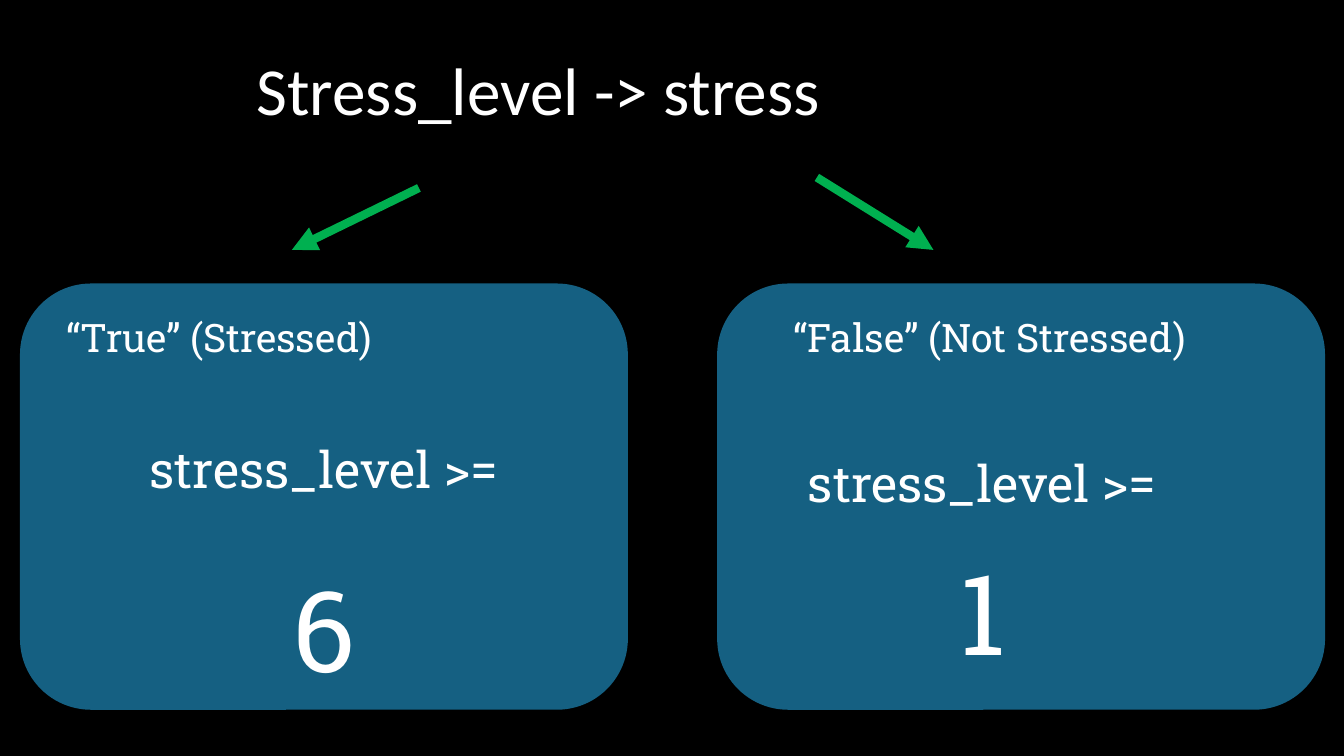
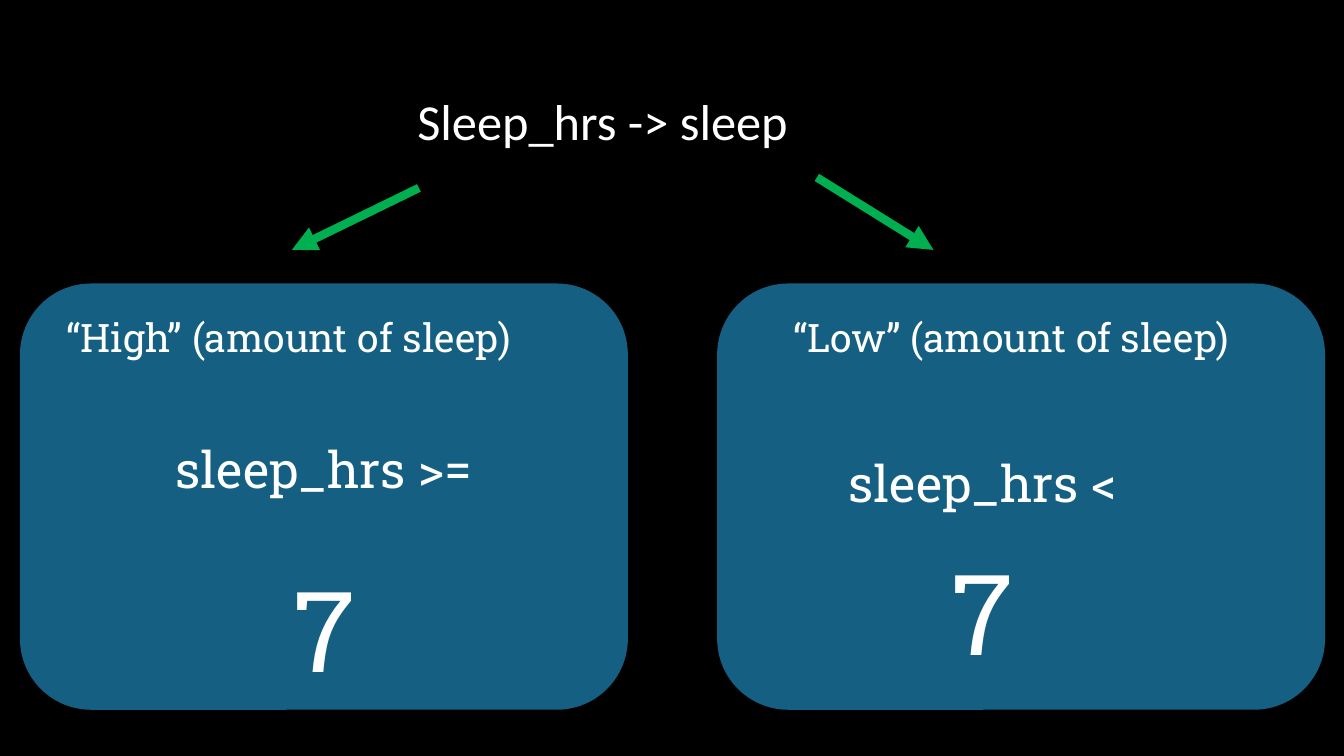
from dataclasses import dataclass

from lxml.etree import SubElement
from pptx import Presentation
from pptx.dml.color import RGBColor
from pptx.enum.shapes import MSO_CONNECTOR as Connector, MSO_SHAPE as Preset
from pptx.enum.text import PP_ALIGN as Align
from pptx.oxml.ns import qn
from pptx.slide import Slide
from pptx.util import Emu, Pt

# Shared style
PX = 9525  # EMU per px, 96 px to the inch
SLIDE_WIDTH, SLIDE_HEIGHT = 1280, 720
BLACK, WHITE, BLUE, GREEN = "000000", "FFFFFF", "156082", "00B050"
TITLE_FONT, BODY_FONT = "Calibri", "Roboto Slab"
PANEL_TOP, PANEL_WIDTH, PANEL_HEIGHT = 270, 579, 406
LABEL_TOP, LABEL_HEIGHT = 294, 55


@dataclass(frozen=True)
class Branch:
    """Layout of one side of the split."""
    panel_left: int
    label_left: int
    rule_top: int
    rule_width: int
    value_gap: int  # points above the big number
    arrow_start: tuple[int, int]
    arrow_end: tuple[int, int]


@dataclass(frozen=True)
class Category:
    label: str
    rule: str
    value: str


@dataclass(frozen=True)
class Split:
    """Content of one slide."""
    title: str
    title_left: int
    title_top: int
    title_size: int
    categories: tuple[Category, Category]


BRANCHES = (
    Branch(19, 54, 413, 579, 44, (399, 179), (278, 238)),
    Branch(683, 746, 426, 505, 22, (778, 169), (889, 238)),
)

SPLITS = (
    Split("Stress_level -> stress", 235, 41, 48, (
        Category("“True” (Stressed)", "stress_level >=", "6"),
        Category("“False” (Not Stressed)", "stress_level >=", "1"),
    )),
    Split("Sleep_hrs -> sleep", 388, 81, 36, (
        Category("“High” (amount of sleep)", "sleep_hrs >=", "7"),
        Category("“Low” (amount of sleep)", "sleep_hrs <", "7"),
    )),
)


def px(length: int) -> Emu:
    return Emu(length * PX)


def color(hex_value: str) -> RGBColor:
    return RGBColor.from_string(hex_value)


def add_text(slide: Slide, lines: list[tuple[str, int]], left: int, top: int,
             width: int, height: int, *, font: str = BODY_FONT,
             align: Align = Align.LEFT, gap: int = 0) -> None:
    """Write (text, size) lines, with gap points between them."""
    box = slide.shapes.add_textbox(px(left), px(top), px(width), px(height))
    frame = box.text_frame
    frame.word_wrap = True
    for index, (text, size) in enumerate(lines):
        paragraph = frame.add_paragraph() if index else frame.paragraphs[0]
        paragraph.alignment = align
        if index:
            paragraph.space_before = Pt(gap)
        run = paragraph.add_run()
        run.text = text
        run.font.name = font
        run.font.size = Pt(size)
        run.font.color.rgb = color(WHITE)


def add_panel(slide: Slide, left: int) -> None:
    panel = slide.shapes.add_shape(Preset.ROUNDED_RECTANGLE, px(left), px(PANEL_TOP),
                                   px(PANEL_WIDTH), px(PANEL_HEIGHT))
    panel.shadow.inherit = False
    panel.fill.solid()
    panel.fill.fore_color.rgb = color(BLUE)
    panel.line.fill.background()


def add_arrow(slide: Slide, start: tuple[int, int], end: tuple[int, int]) -> None:
    arrow = slide.shapes.add_connector(Connector.STRAIGHT, *map(px, start + end))
    arrow.line.color.rgb = color(GREEN)
    arrow.line.width = Pt(6)
    SubElement(arrow.line._get_or_add_ln(), qn("a:tailEnd"), type="triangle")
    SubElement(arrow._element.spPr, qn("a:effectLst"))


def add_branch(slide: Slide, branch: Branch, category: Category) -> None:
    add_panel(slide, branch.panel_left)
    label_width = branch.panel_left + PANEL_WIDTH - branch.label_left
    add_text(slide, [(category.label, 28)], branch.label_left, LABEL_TOP,
             label_width, LABEL_HEIGHT)
    add_text(slide, [(category.rule, 36), (category.value, 80)],
             branch.panel_left, branch.rule_top, branch.rule_width,
             PANEL_TOP + PANEL_HEIGHT - branch.rule_top,
             align=Align.CENTER, gap=branch.value_gap)
    add_arrow(slide, branch.arrow_start, branch.arrow_end)


def add_split_slide(presentation: Presentation, split: Split) -> None:
    slide = presentation.slides.add_slide(presentation.slide_layouts[6])
    background = slide.background.fill
    background.solid()
    background.fore_color.rgb = color(BLACK)
    add_text(slide, [(split.title, split.title_size)], split.title_left,
             split.title_top, SLIDE_WIDTH - split.title_left, 88, font=TITLE_FONT)
    for branch, category in zip(BRANCHES, split.categories):
        add_branch(slide, branch, category)


def main() -> None:
    presentation = Presentation()
    presentation.slide_width = px(SLIDE_WIDTH)
    presentation.slide_height = px(SLIDE_HEIGHT)
    for split in SPLITS:
        add_split_slide(presentation, split)
    presentation.save("out.pptx")


if __name__ == "__main__":
    main()
